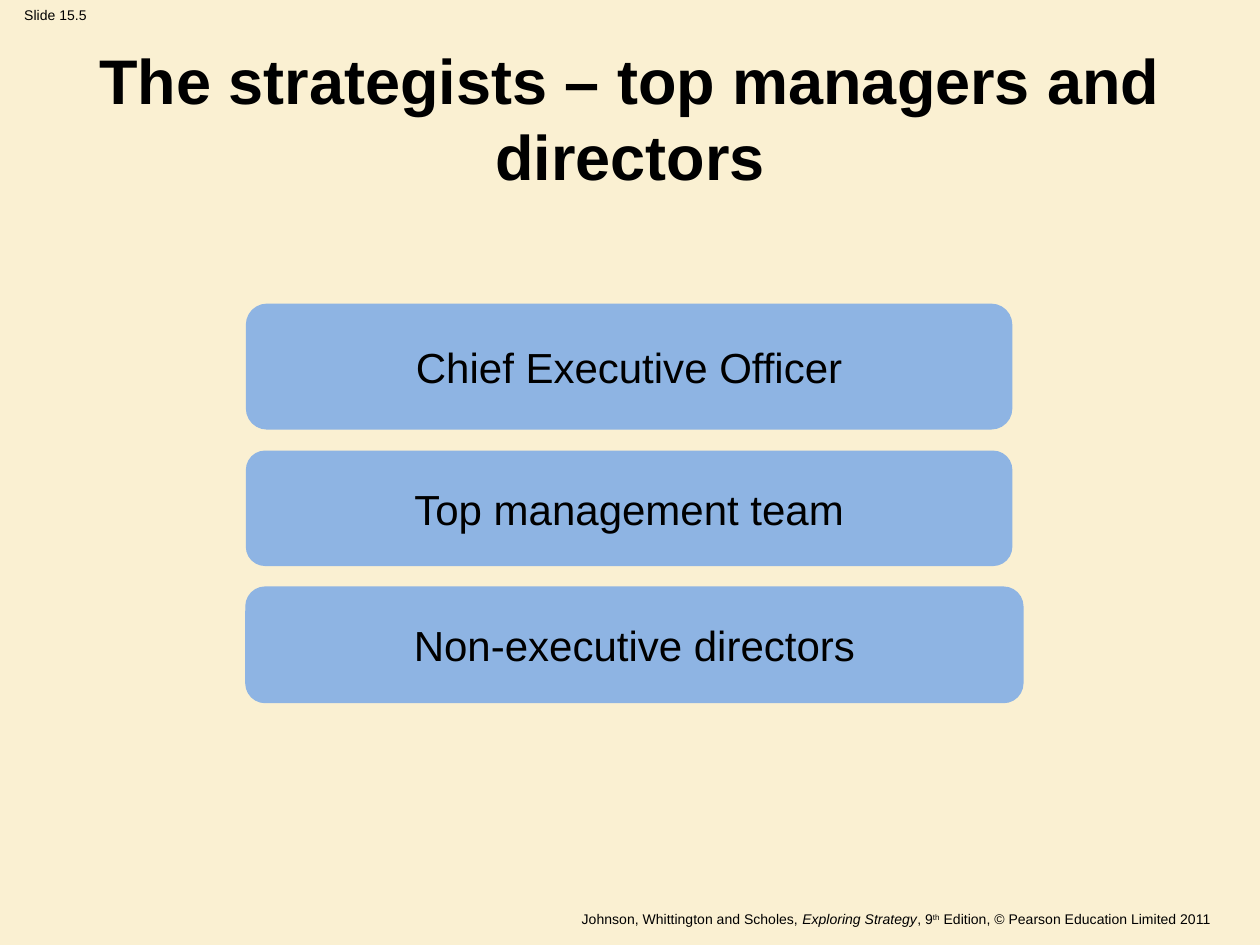
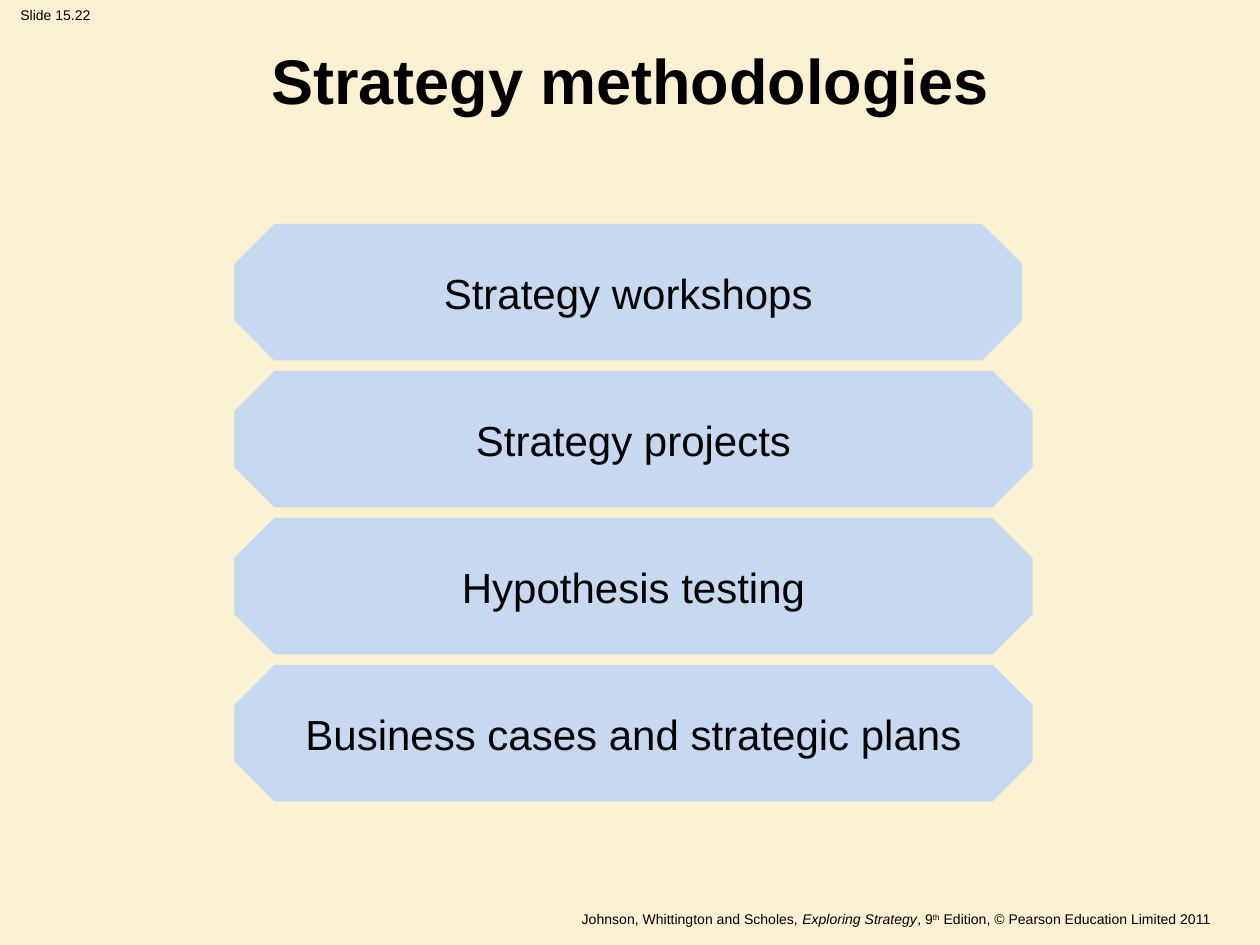
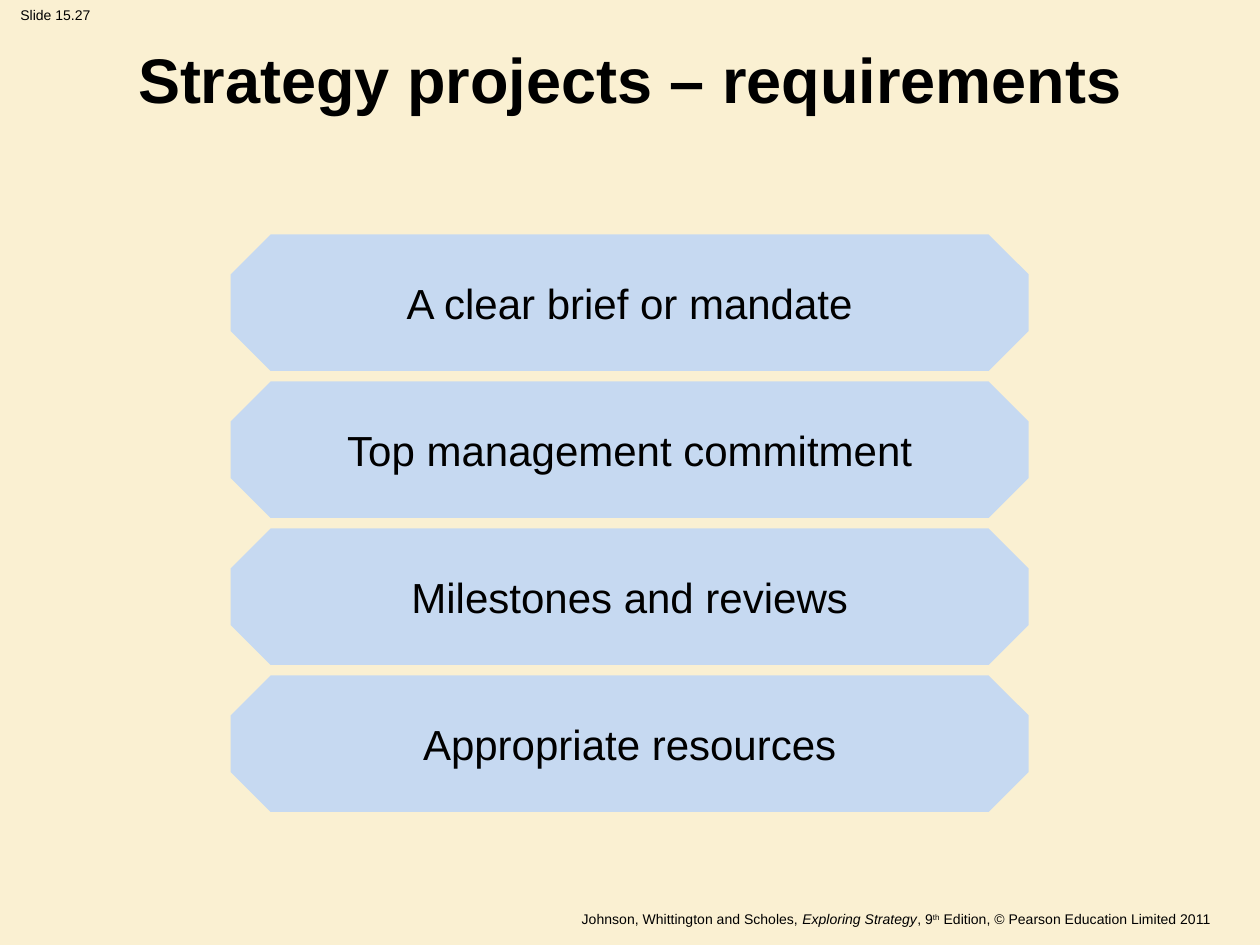
from dataclasses import dataclass

from pptx import Presentation
from pptx import util as u
from pptx.dml.color import RGBColor
from pptx.enum import shapes, text

Pt = u.Pt


@dataclass(frozen=True)
class Theme:
    font: str = "Arial"
    background: str = "FAF0D2"
    ink: str = "000000"
    strategist: str = "8EB4E3"
    method: str = "C6D9F1"
    title_size: int = 36
    body_size: int = 24
    small_size: int = 8


THEME = Theme()
SLIDE_SIZE = (720, 540)
NUMBER_BOX = (0, 0, 63.4, 17.3)
FOOTER_BOX = (18.7, 517, 680.4, 15.1)

FOOTER = [
    ("Johnson, Whittington and Scholes, ", {}),
    ("Exploring Strategy", {"italic": True}),
    (", 9", {}),
    ("th", {"superscript": True}),
    (" Edition, © Pearson Education Limited 2011", {}),
]

STRATEGIST_STYLE = {
    "kind": shapes.MSO_SHAPE.ROUNDED_RECTANGLE,
    "adjustment": 0.167,
    "fill": THEME.strategist,
    "gap": 12,
}
METHOD_STYLE = {
    "kind": shapes.MSO_SHAPE.OCTAGON,
    "adjustment": 0.293,
    "fill": THEME.method,
    "gap": 6,
}

SLIDES = [
    {
        "number": "Slide 15.5",
        "title": "The strategists – top managers and directors",
        "title_box": (36, 20.2, 648, 93.6),
        "style": STRATEGIST_STYLE,
        "origin": (140.5, 173.5),
        "bars": [
            ("Chief Executive Officer", 438, 72, False),
            ("Top management team", 438, 66, False),
            ("Non-executive directors", 444, 66, True),
        ],
    },
    {
        "number": "Slide 15.22",
        "title": "Strategy methodologies",
        "title_box": (36, 20.2, 648, 50.4),
        "style": METHOD_STYLE,
        "origin": (134, 128),
        "bars": [
            ("Strategy workshops", 450, 78, False),
            ("Strategy projects", 456, 78, False),
            ("Hypothesis testing", 456, 78, False),
            ("Business cases and strategic plans", 456, 78, False),
        ],
    },
    {
        "number": "Slide 15.27",
        "title": "Strategy projects – requirements",
        "title_box": (36, 19.4, 648, 50.4),
        "style": METHOD_STYLE,
        "origin": (131.8, 134),
        "bars": [
            ("A clear brief or mandate", 456, 78, False),
            ("Top management commitment", 456, 78, False),
            ("Milestones and reviews", 456, 78, False),
            ("Appropriate resources", 456, 78, False),
        ],
    },
]


def points(box):
    return [Pt(length) for length in box]


def color(value):
    return RGBColor.from_string(value)


def write(shape, runs, size, align="CENTER", anchor="MIDDLE", wrap=False, bold=False):
    frame = shape.text_frame
    frame.word_wrap = wrap
    frame.vertical_anchor = text.MSO_ANCHOR[anchor]
    paragraph = frame.paragraphs[0]
    paragraph.alignment = text.PP_ALIGN[align]
    for words, emphasis in runs:
        run = paragraph.add_run()
        run.text = words
        run.font.name = THEME.font
        run.font.size = Pt(size)
        run.font.bold = bold
        run.font.italic = emphasis.get("italic", False)
        run.font.color.rgb = color(THEME.ink)
        if emphasis.get("superscript"):
            run._r.get_or_add_rPr().set("baseline", "30000")


def add_text(slide, box, runs, size, **layout):
    write(slide.shapes.add_textbox(*points(box)), runs, size, **layout)


def add_bars(slide, style, origin, bars):
    left, top = origin
    for label, width, height, outlined in bars:
        shape = slide.shapes.add_shape(style["kind"], *points((left, top, width, height)))
        shape.shadow.inherit = False
        shape.adjustments[0] = style["adjustment"]
        shape.fill.solid()
        shape.fill.fore_color.rgb = color(style["fill"])
        if outlined:
            shape.line.color.rgb = color(style["fill"])
            shape.line.width = Pt(0.75)
        else:
            shape.line.fill.background()
        write(shape, [(label, {})], THEME.body_size)
        top += height + style["gap"]


def add_slide(presentation, content):
    slide = presentation.slides.add_slide(presentation.slide_layouts[6])
    slide.background.fill.solid()
    slide.background.fill.fore_color.rgb = color(THEME.background)
    add_text(slide, NUMBER_BOX, [(content["number"], {})], THEME.small_size, anchor="TOP")
    add_text(slide, FOOTER_BOX, FOOTER, THEME.small_size, align="RIGHT", anchor="TOP", wrap=True)
    add_text(slide, content["title_box"], [(content["title"], {})], THEME.title_size,
             wrap=True, bold=True)
    add_bars(slide, content["style"], content["origin"], content["bars"])


def main():
    presentation = Presentation()
    presentation.slide_width, presentation.slide_height = points(SLIDE_SIZE)
    for content in SLIDES:
        add_slide(presentation, content)
    presentation.save("out.pptx")


if __name__ == "__main__":
    main()
